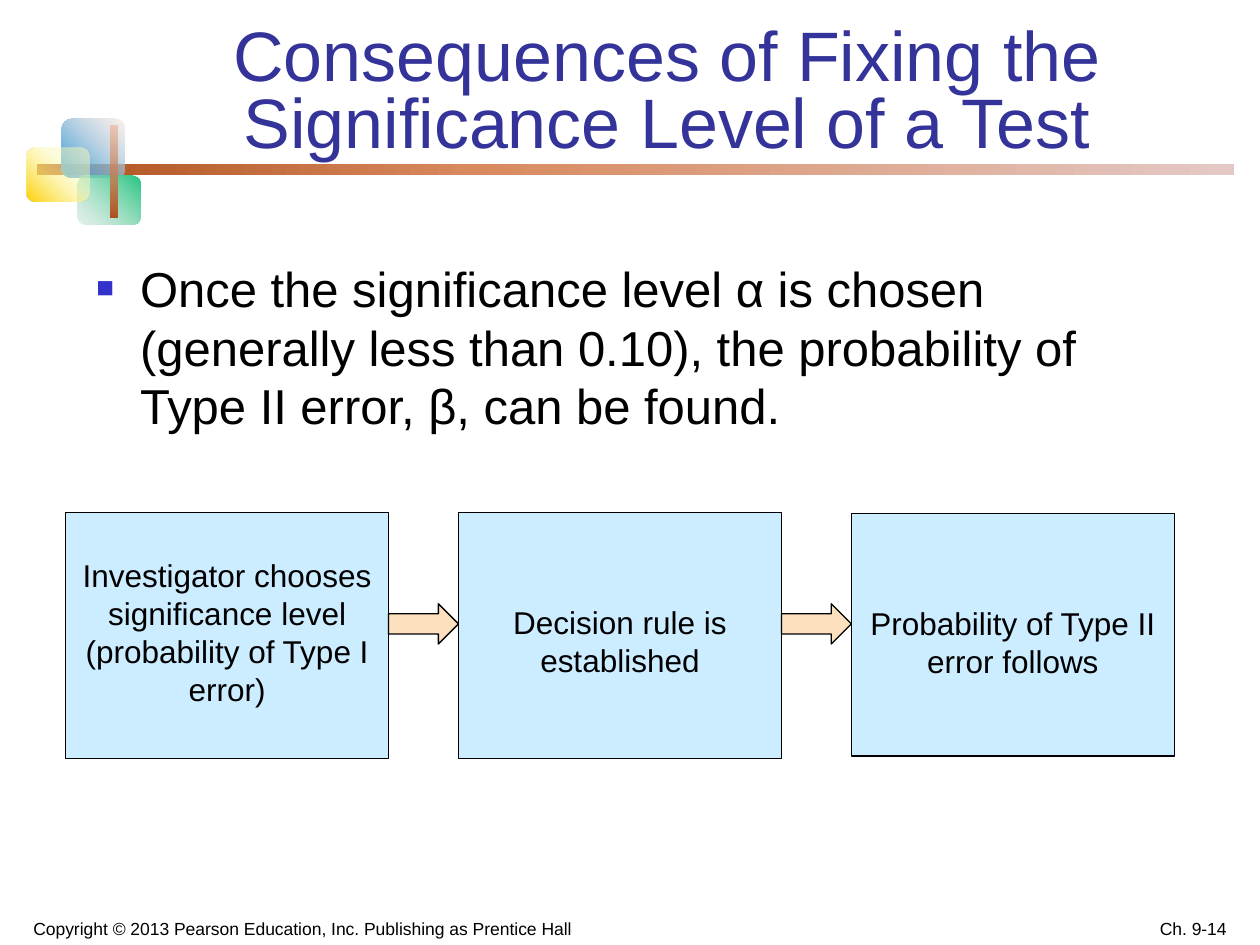
from lxml.etree import SubElement
from pptx import Presentation
from pptx.dml.color import RGBColor
from pptx.enum.shapes import MSO_SHAPE
from pptx.enum.text import MSO_ANCHOR, PP_ALIGN
from pptx.oxml.ns import qn
from pptx.util import Pt


def color(code):
    """Turn a hex string into a colour."""
    return RGBColor.from_string(code)


def write(shape, text, size, align, code="000000", anchor=MSO_ANCHOR.TOP):
    """Write one wrapped paragraph and return it."""
    frame = shape.text_frame
    frame.word_wrap = True
    frame.vertical_anchor = anchor
    para = frame.paragraphs[0]
    para.text = text
    para.alignment = align
    para.font.name = "Arial"
    para.font.size = Pt(size)
    para.font.color.rgb = color(code)
    return para


def add_text(slide, box, *args, **kwargs):
    """Add a text box and return its paragraph."""
    shape = slide.shapes.add_textbox(*map(Pt, box))
    return write(shape, *args, **kwargs)


def add_shape(slide, kind, box, fill=None):
    """Add a flat preset shape, outlined when it has a plain fill."""
    shape = slide.shapes.add_shape(kind, *map(Pt, box))
    shape.shadow.inherit = False
    if fill:
        shape.fill.solid()
        shape.fill.fore_color.rgb = color(fill)
        shape.line.color.rgb = color("000000")
        shape.line.width = Pt(0.75)
    else:
        shape.line.fill.background()
    return shape


def shade(shape, angle, stops):
    """Fill a shape with a linear gradient of (place, colour, opacity) stops."""
    shape.fill.gradient()
    grad = shape._element.spPr.find(qn("a:gradFill"))
    items = grad.find(qn("a:gsLst"))
    for item in list(items):
        items.remove(item)
    for place, code, alpha in stops:
        stop = SubElement(items, qn("a:gs"), pos=str(place * 1000))
        tint = SubElement(stop, qn("a:srgbClr"), val=code)
        if alpha < 100:
            SubElement(tint, qn("a:alpha"), val=str(alpha * 1000))
    grad.find(qn("a:lin")).set("ang", str(angle * 60000))


def add_motif(slide, left, top):
    """Draw the rule, the three tiles and the upright bar."""
    parts = [
        ((6, 26, 684, 6), 0, [(0, "AE511E", 100), (37, "D88A5E", 100), (100, "E4C9C6", 100)]),
        ((20, 0, 36, 33.5), 315, [(0, "2895D8", 100), (100, "F7E2D9", 50)]),
        ((29.5, 32.5, 36, 28), 135, [(0, "25C580", 100), (100, "CCE2D9", 50)]),
        ((0, 16.5, 36, 30.5), 315, [(0, "FFCF01", 100), (63, "FCFCBC", 50)]),
        ((48, 3.5, 4, 53), 270, [(0, "AE511E", 100), (100, "EAA782", 50)]),
    ]
    for (x, y, wide, high), angle, stops in parts:
        shape = add_shape(slide, MSO_SHAPE.ROUNDED_RECTANGLE, (left + x, top + y, wide, high))
        if wide > 100 or high > 50:
            shape.adjustments[0] = 0
        shade(shape, angle, stops)


def add_body(slide, box, text):
    """Add the bulleted statement."""
    para = add_text(slide, box, text, 28, PP_ALIGN.LEFT)
    props = para._p.get_or_add_pPr()
    font = props.find(qn("a:defRPr"))
    props.set("marL", str(Pt(25)))
    props.set("indent", str(-Pt(25)))
    tint = SubElement(props, qn("a:buClr"))
    SubElement(tint, qn("a:srgbClr"), val="3333CC")
    SubElement(props, qn("a:buSzPct"), val="60000")
    SubElement(props, qn("a:buFont"), typeface="Arial")
    SubElement(props, qn("a:buChar"), char="■")
    if font is not None:
        props.append(font)


def add_flow(slide, left, top):
    """Draw the three steps with arrows filling the gaps."""
    steps = [
        ("Investigator chooses significance level (probability of Type I error)", 0, 140.5, 25),
        ("Decision rule is established", 0, 140.5, 51.5),
        ("Probability of Type II error follows", 0.5, 138.5, 51.5),
    ]
    wide, gap = 184.5, 40
    for i, (text, drop, high, inset) in enumerate(steps):
        x = left + i * (wide + gap)
        shape = add_shape(slide, MSO_SHAPE.RECTANGLE, (x, top + drop, wide, high), "CCECFF")
        write(shape, text, 18, PP_ALIGN.CENTER)
        shape.text_frame.margin_top = Pt(inset)
    for i in range(len(steps) - 1):
        x = left + wide + i * (wide + gap)
        add_shape(slide, MSO_SHAPE.RIGHT_ARROW, (x, top + 52, gap, 23), "FDE0BD")


def add_footer(slide, top):
    """Add the copyright line and the page number."""
    low = MSO_ANCHOR.BOTTOM
    add_text(slide, (0, top, 345.5, 25), "Copyright © 2013 Pearson Education, Inc. Publishing as Prentice Hall",
             10, PP_ALIGN.CENTER, anchor=low)
    add_text(slide, (540, top, 168, 25), "Ch. 9-14", 10, PP_ALIGN.RIGHT, anchor=low)


def main():
    """Build and save the slide."""
    deck = Presentation()
    deck.slide_width, deck.slide_height = Pt(720), Pt(540)
    slide = deck.slides.add_slide(deck.slide_layouts[6])
    add_motif(slide, 15, 68)
    title = add_text(slide, (90.5, 18, 581, 78), "Consequences of Fixing the Significance Level of a Test",
                     40, PP_ALIGN.CENTER, "333399", MSO_ANCHOR.BOTTOM)
    title.line_spacing = 0.8
    add_body(slide, (48, 144, 623, 120),
             "Once the significance level α is chosen (generally less than 0.10), "
             "the probability of Type II error, β, can be found.")
    add_flow(slide, 37.5, 293)
    add_footer(slide, 515)
    deck.save("out.pptx")


if __name__ == "__main__":
    main()
